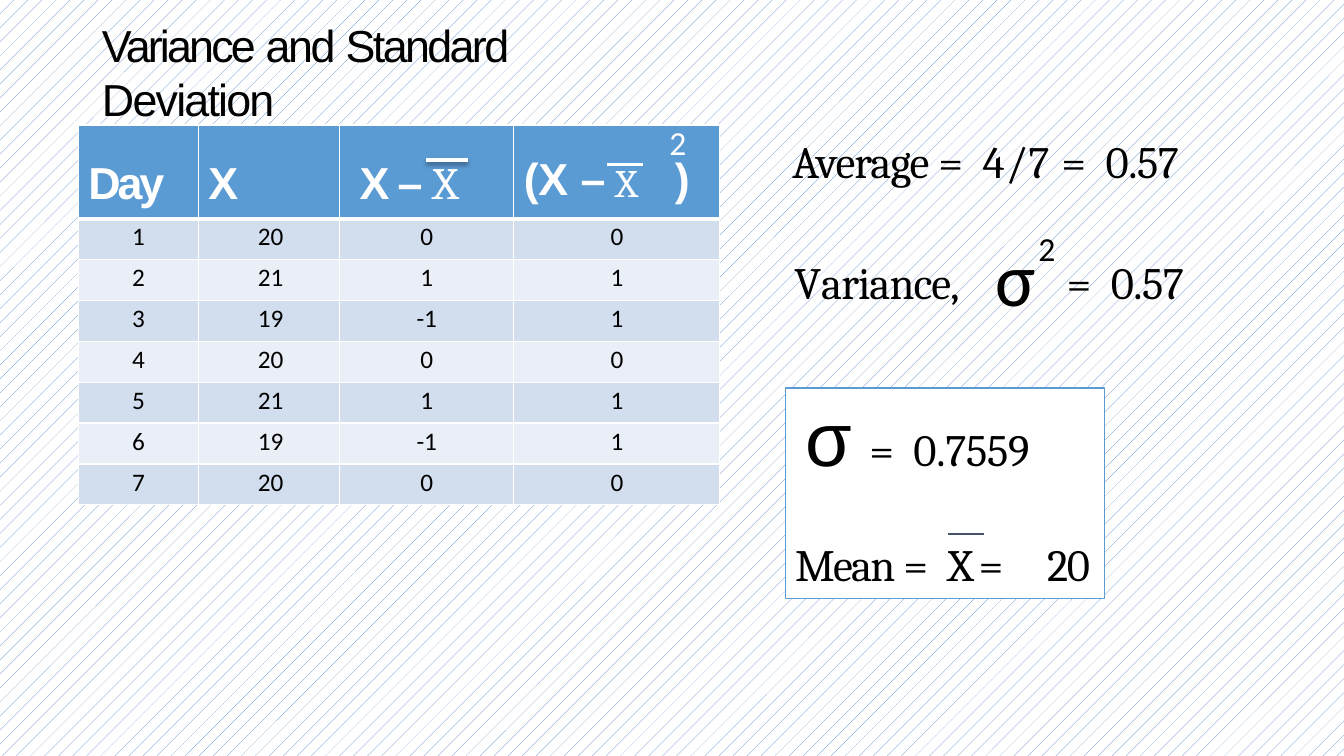
from pptx import Presentation
from pptx.dml.color import RGBColor
from pptx.enum.dml import MSO_PATTERN
from pptx.enum.shapes import MSO_CONNECTOR, MSO_SHAPE
from pptx.enum.text import MSO_ANCHOR, MSO_AUTO_SIZE, PP_ALIGN
from pptx.oxml.ns import qn
from pptx.util import Cm, Pt
from lxml.etree import SubElement

WHITE = RGBColor(0xFF, 0xFF, 0xFF)
BLACK = RGBColor(0x00, 0x00, 0x00)
BLUE = RGBColor(0x5B, 0x9B, 0xD4)
SLATE = RGBColor(0x44, 0x53, 0x6A)
DOTS = RGBColor(0x4F, 0x81, 0xBD)
BANDS = RGBColor(0xD2, 0xDE, 0xEE), RGBColor(0xEA, 0xEE, 0xF7)

# Text formats
ARIAL = {"name": "Arial", "size": Pt(32), "bold": False}
HEAD = {**ARIAL, "bold": True}
SERIF = {**ARIAL, "name": "Cambria"}
SIGMA = {**ARIAL, "size": Pt(54)}
POWER = {**ARIAL, "name": "Calibri", "size": Pt(24)}
BODY = {**POWER, "size": Pt(18)}

VALUES = [(1, 20, 0, 0), (2, 21, 1, 1), (3, 19, -1, 1), (4, 20, 0, 0),
          (5, 21, 1, 1), (6, 19, -1, 1), (7, 20, 0, 0)]


def apply(item, values):
    for key, value in values.items():
        setattr(item, key, value)


def write(para, runs, color=BLACK, left=0, right=0, tab=None, **form):
    """Fill a paragraph with runs of (text, format, spacing, baseline)."""
    apply(para, {"alignment": PP_ALIGN.LEFT, **form})
    props = para._p.get_or_add_pPr()
    for key, size in (("marL", left), ("marR", right), ("indent", 0)):
        props.set(key, str(Cm(size)))
    if tab:
        stops = SubElement(props, qn("a:tabLst"))
        SubElement(stops, qn("a:tab"), pos=str(Cm(tab)), algn="l")
    for text, font, gap, *base in runs:
        run = para.add_run()
        run.text = text
        apply(run.font, font)
        run.font.color.rgb = color
        marks = run._r.get_or_add_rPr()
        marks.set("spc", str(round(gap * 100)))
        if base:
            marks.set("baseline", str(base[0] * 1000))


def frame(shape, top=0.03):
    text = shape.text_frame
    apply(text, {"margin_left": 0, "margin_right": 0, "margin_bottom": 0,
                 "margin_top": Cm(top), "word_wrap": True,
                 "vertical_anchor": MSO_ANCHOR.TOP,
                 "auto_size": MSO_AUTO_SIZE.SHAPE_TO_FIT_TEXT})
    return text


def label(slide, place, runs):
    box = slide.shapes.add_textbox(*map(Cm, place))
    write(frame(box).paragraphs[0], runs, left=0.03, space_before=Pt(1.1))


def rule(slide, start, end, y, color, width, shade=False):
    line = slide.shapes.add_connector(
        MSO_CONNECTOR.STRAIGHT, Cm(start), Cm(y), Cm(end), Cm(y))
    line.line.color.rgb = color
    line.line.width = Pt(width)
    effect = SubElement(line._element.spPr, qn("a:effectLst"))
    if shade:
        drop = SubElement(effect, qn("a:outerShdw"), blurRad=str(Pt(3.1)),
                          dist=str(Pt(1.8)), dir="5400000")
        black = SubElement(drop, qn("a:srgbClr"), val="000000")
        SubElement(black, qn("a:alpha"), val="35000")


def paint(cell, color, top, over=1, under=1):
    """Set the margins, white borders and fill of a cell."""
    apply(cell, {"margin_left": 0, "margin_right": 0, "margin_bottom": 0,
                 "margin_top": Cm(top)})
    props = cell._tc.get_or_add_tcPr()
    for side, width in (("L", 1), ("R", 1), ("T", over), ("B", under)):
        edge = SubElement(props, qn("a:ln" + side), w=str(Pt(width)))
        fill = SubElement(edge, qn("a:solidFill"))
        SubElement(fill, qn("a:srgbClr"), val=str(WHITE))
    cell.fill.solid()
    cell.fill.fore_color.rgb = color


def add_grid(slide):
    grid = slide.shapes.add_table(8, 4, Cm(1.98), Cm(3.15),
                                  Cm(16.15), Cm(9.57)).table
    for col, width in zip(grid.columns, (3.02, 3.56, 4.39, 5.18)):
        col.width = Cm(width)
    for row in grid.rows:
        row.height = Cm(1.03)
    grid.rows[0].height = Cm(2.36)

    # Header
    heads = [(0.25, [("Day", HEAD, -2.3)]),
             (0.25, [("X", HEAD, 0)]),
             (0.5, [("X ", HEAD, -3), ("– ", HEAD, -1.8), ("X", SERIF, -4.5)])]
    for col, (left, runs) in enumerate(heads):
        cell = grid.cell(0, col)
        paint(cell, BLUE, 0.86, under=3)
        write(cell.text_frame.paragraphs[0], runs, WHITE, left,
              space_before=Pt(24.3))
    cell = grid.cell(0, 3)
    paint(cell, BLUE, 0.13, under=3)
    write(cell.text_frame.paragraphs[0], [("2", POWER, 0)], WHITE, right=0.83,
          alignment=PP_ALIGN.RIGHT, line_spacing=Pt(24.7),
          space_before=Pt(3.7))
    big = {**SERIF, "size": Pt(48)}
    write(cell.text_frame.add_paragraph(),
          [("(X ", HEAD, -0.2), ("– ", HEAD, -1.8), ("X\t", big, -6.7, -2),
           (")", HEAD, 2.6)],
          WHITE, left=0.25, tab=3.61, line_spacing=Pt(34.3))

    # Values
    center = {"alignment": PP_ALIGN.CENTER}
    forms = [center, {"alignment": PP_ALIGN.RIGHT, "right": 1.42},
             center, {"left": 2.44}]
    for row, values in enumerate(VALUES, 1):
        for col, (value, form) in enumerate(zip(values, forms)):
            cell = grid.cell(row, col)
            paint(cell, BANDS[(row - 1) % 2], 0.08, over=3 if row == 1 else 1)
            write(cell.text_frame.paragraphs[0], [(str(value), BODY, 0)],
                  space_before=Pt(2.5), **form)


def add_box(slide):
    box = slide.shapes.add_shape(
        MSO_SHAPE.RECTANGLE, Cm(19.79), Cm(9.78), Cm(8.05), Cm(5.31))
    box.shadow.inherit = False
    box.fill.solid()
    box.fill.fore_color.rgb = WHITE
    box.line.color.rgb = BLUE
    box.line.width = Pt(0.96)
    text = frame(box, 0.08)
    write(text.paragraphs[0],
          [("σ ", SIGMA, -2.5), ("= ", SERIF, 3.4), ("0.7559", SERIF, -0.2)],
          left=0.5, space_before=Pt(2.2))
    write(text.add_paragraph(),
          [("Mean ", SERIF, -1.3), ("= ", SERIF, 3.4), ("X ", SERIF, -3.2),
           ("=\t", SERIF, 3.4), ("20", SERIF, -1.1)],
          left=0.25, tab=6.48, space_before=Pt(39))


def main():
    deck = Presentation()
    deck.slide_width, deck.slide_height = Cm(33.87), Cm(19.05)
    slide = deck.slides.add_slide(deck.slide_layouts[5])
    back = slide.background.fill
    back.patterned()
    back.pattern = MSO_PATTERN.PERCENT_5
    back.fore_color.rgb = DOTS
    back.back_color.rgb = WHITE

    # Title
    title = slide.shapes.title
    apply(title, {"left": Cm(2.54), "top": Cm(0.41),
                  "width": Cm(14.8), "height": Cm(1.42)})
    write(frame(title).paragraphs[0],
          [("Variance ", ARIAL, -2), ("and ", ARIAL, -1.7),
           ("Standard ", ARIAL, -1.9), ("Deviation", ARIAL, -1.3)],
          left=0.03, space_before=Pt(1))

    add_grid(slide)
    add_box(slide)

    # Results
    label(slide, (19.94, 3.33, 10.54, 1.42),
          [("Average ", SERIF, -0.7), ("= ", SERIF, 3.4), ("4/7 ", SERIF, 0.7),
           ("= ", SERIF, 3.4), ("0.57", SERIF, -0.4)])
    label(slide, (19.99, 6.4, 4.47, 1.42),
          [("V", SERIF, -4), ("ariance,", SERIF, -0.7)])
    label(slide, (25.07, 5.79, 1.09, 2.36),
          [("σ", {**SIGMA, "name": "Calibri"}, 0)])
    label(slide, (26.14, 5.72, 0.51, 1.09), [("2", POWER, 0)])
    label(slide, (26.85, 6.4, 3.28, 1.42),
          [("= ", SERIF, 3.4), ("0.57", SERIF, -0.4)])

    # Bars over the means
    rule(slide, 15.29, 16.21, 4.14, WHITE, 2.28)
    rule(slide, 23.88, 24.79, 13.46, SLATE, 0.96)
    rule(slide, 10.74, 11.79, 4.04, WHITE, 3, shade=True)

    deck.save("out.pptx")


if __name__ == "__main__":
    main()
